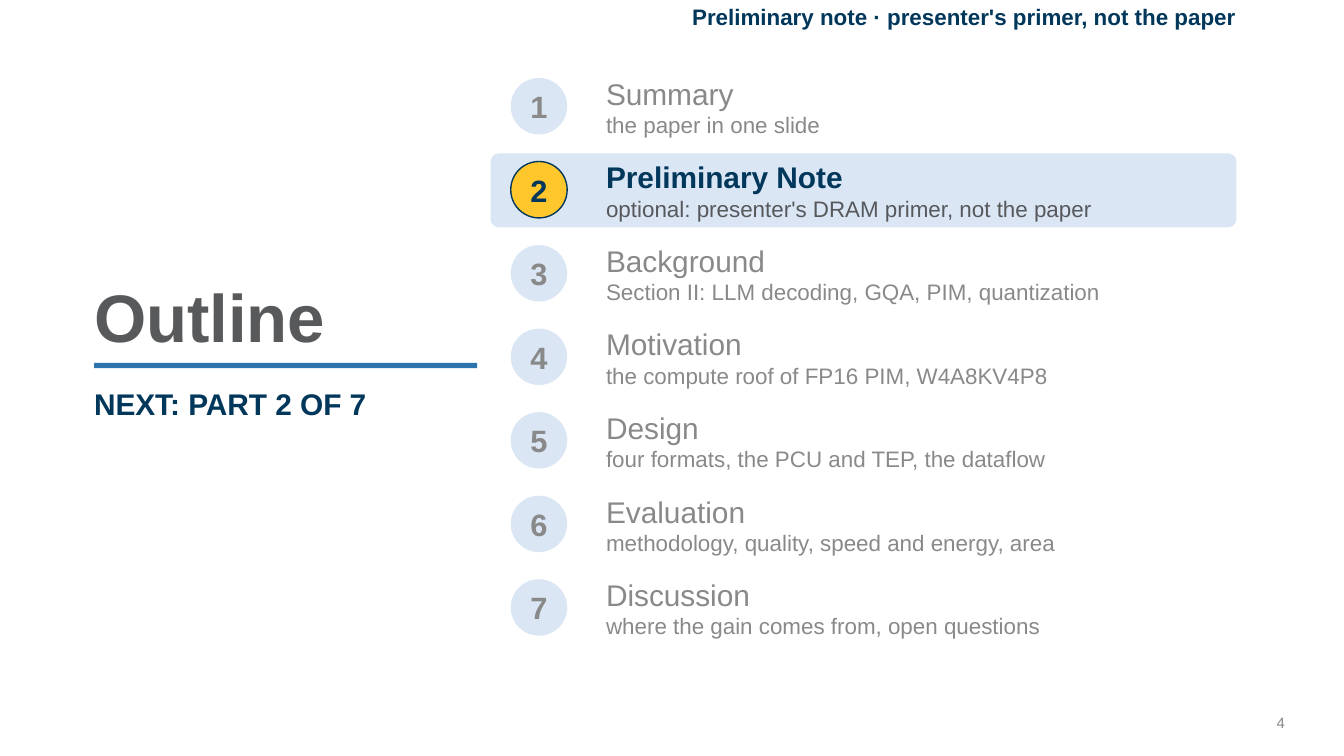
"""Build the outline slide that announces part 2 of 7."""
from pptx import Presentation
from pptx.dml.color import RGBColor
from pptx.enum.shapes import MSO_SHAPE
from pptx.enum.text import MSO_ANCHOR, MSO_AUTO_SIZE, PP_ALIGN
from pptx.util import Inches, Pt

RECT, ROUND, OVAL = MSO_SHAPE.RECTANGLE, MSO_SHAPE.ROUNDED_RECTANGLE, MSO_SHAPE.OVAL
TOP, MIDDLE, BOTTOM = MSO_ANCHOR.TOP, MSO_ANCHOR.MIDDLE, MSO_ANCHOR.BOTTOM
LEFT, CENTER, RIGHT = PP_ALIGN.LEFT, PP_ALIGN.CENTER, PP_ALIGN.RIGHT
FIXED = MSO_AUTO_SIZE.NONE

COLORS = {
    "navy": "00375B", "blue": "2C75AC", "pale": "DAE6F4", "gold": "FFC72B",
    "dark": "58595B", "body": "57585B", "gray": "898989", "white": "FFFFFF",
}
PARTS = [
    ("Summary", "the paper in one slide"),
    ("Preliminary Note", "optional: presenter's DRAM primer, not the paper"),
    ("Background", "Section II: LLM decoding, GQA, PIM, quantization"),
    ("Motivation", "the compute roof of FP16 PIM, W4A8KV4P8"),
    ("Design", "four formats, the PCU and TEP, the dataflow"),
    ("Evaluation", "methodology, quality, speed and energy, area"),
    ("Discussion", "where the gain comes from, open questions"),
]
NEXT = 2
FIRST, LAST = 0.58, 4.31
PITCH = (LAST - FIRST) / (len(PARTS) - 1)


def color(name):
    return RGBColor.from_string(COLORS[name])


def put_text(shape, lines, anchor=TOP, align=LEFT, spacing=1.0):
    """Fill a shape with lines of (text, size, color, bold)."""
    frame = shape.text_frame
    form = {
        "margin_left": 0, "margin_right": 0, "margin_top": 0, "margin_bottom": 0,
        "word_wrap": True, "auto_size": FIXED, "vertical_anchor": anchor,
    }
    for key, value in form.items():
        setattr(frame, key, value)
    for index, (text, size, tone, bold) in enumerate(lines):
        par = frame.add_paragraph() if index else frame.paragraphs[0]
        par.alignment, par.line_spacing = align, spacing
        run = par.add_run()
        run.text = text
        font = {"name": "Arial", "size": Pt(size), "bold": bold}
        for key, value in font.items():
            setattr(run.font, key, value)
        run.font.color.rgb = color(tone)


def add_text(slide, box, lines, **form):
    shape = slide.shapes.add_textbox(*map(Inches, box))
    put_text(shape, lines, **form)


def add_shape(slide, kind, box, fill, line=None):
    shape = slide.shapes.add_shape(kind, *map(Inches, box))
    shape.shadow.inherit = False
    shape.fill.solid()
    shape.fill.fore_color.rgb = color(fill)
    if line:
        shape.line.color.rgb = color(line)
        shape.line.width = Pt(0.75)
    else:
        shape.line.fill.background()
    return shape


def add_title(slide, text, box):
    title = slide.shapes.title
    title.left, title.top, title.width, title.height = map(Inches, box)
    put_text(title, [(text, 36, "dark", True)], anchor=BOTTOM, spacing=0.9)


def add_part(slide, number, name, note):
    """Draw one row of the outline, lit up if it comes next."""
    top = FIRST + (number - 1) * PITCH
    lit = number == NEXT
    tone = "navy" if lit else "gray"
    if lit:
        band = add_shape(slide, ROUND, (3.65, top - 0.06, 5.55, 0.55), "pale")
        band.adjustments[0] = 0.11
    disc = add_shape(slide, OVAL, (3.8, top, 0.42, 0.42),
                     "gold" if lit else "pale", "navy" if lit else None)
    put_text(disc, [(str(number), 16.5, tone, True)], anchor=MIDDLE, align=CENTER)
    lines = [(name, 16, tone, lit), (note, 12, "body" if lit else "gray", False)]
    add_text(slide, (4.51, top - 0.02, 4.64, 0.47), lines, anchor=MIDDLE)


def main():
    deck = Presentation()
    deck.slide_width = Inches(10)
    deck.slide_height = deck.slide_width * 9 // 16
    slide = deck.slides.add_slide(deck.slide_layouts[5])
    slide.background.fill.solid()
    slide.background.fill.fore_color.rgb = color("white")

    add_title(slide, "Outline", (0.7, 2.05, 2.85, 0.61))
    add_shape(slide, RECT, (0.7, 2.7, 2.85, 0.04), "blue")
    add_text(slide, (0.7, 2.9, 2.85, 0.3),
             [(f"NEXT: PART {NEXT} OF {len(PARTS)}", 16, "navy", True)], spacing=0.9)
    add_text(slide, (4.2, 0.04, 5, 0.17),
             [("Preliminary note · presenter's primer, not the paper", 12, "navy", True)],
             anchor=MIDDLE, align=RIGHT)
    for number, (name, note) in enumerate(PARTS, 1):
        add_part(slide, number, name, note)
    add_text(slide, (9.5, 5.31, 0.5, 0.14), [("4", 8, "gray", False)])
    deck.save("out.pptx")


if __name__ == "__main__":
    main()
